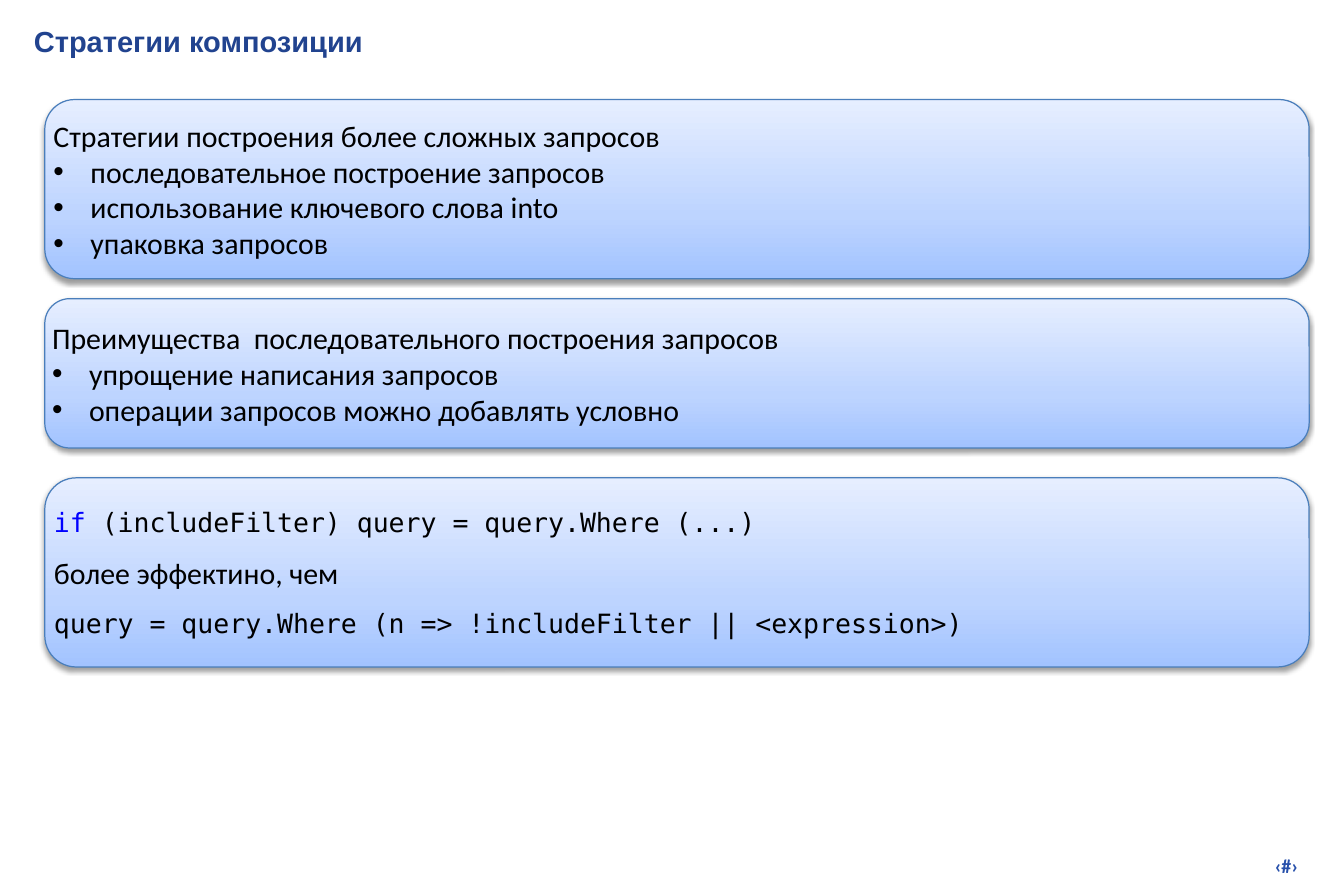
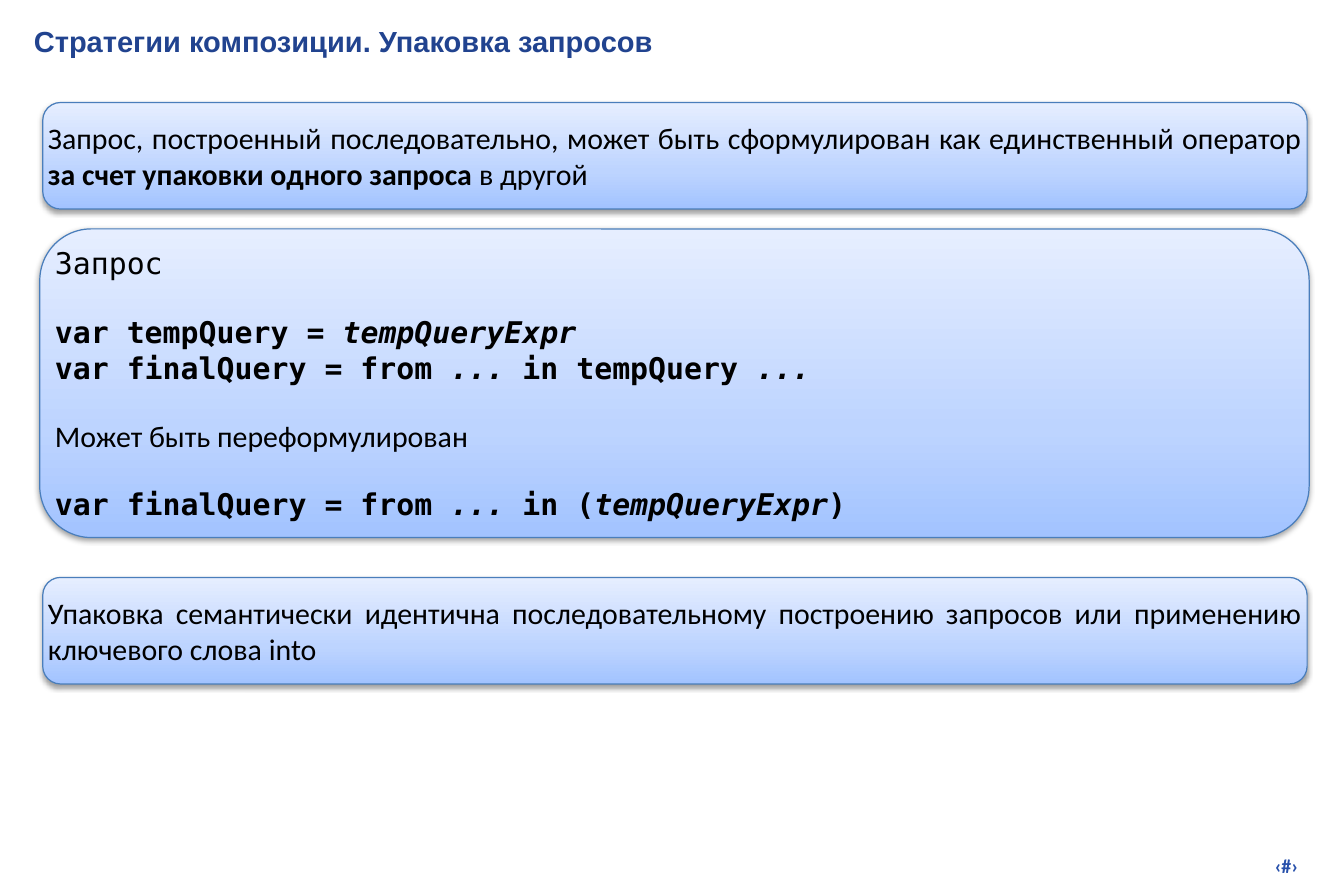
from dataclasses import dataclass

from lxml.etree import SubElement
from pptx import Presentation
from pptx.dml.color import RGBColor
from pptx.enum.shapes import MSO_SHAPE as Shape
from pptx.enum.text import MSO_ANCHOR as Anchor, MSO_AUTO_SIZE as AutoSize, PP_ALIGN as Align
from pptx.oxml.ns import qn
from pptx.util import Inches, Pt

# The slide is a grid of 135 columns by 90 rows.
CELL = Inches(1 / 12)
COLUMNS, ROWS = 135, 90
TITLE_BOX = (3.4, 2.4, 128.9, 4.8)
NUMBER_BOX = (102.5, 85.2, 28.5, 3.5)

TITLE_BLUE = RGBColor(0x21, 0x43, 0x8F)
NUMBER_BLUE = RGBColor(0x27, 0x50, 0xAB)
BORDER_BLUE = RGBColor(0x4A, 0x7E, 0xBB)
KEYWORD_BLUE = RGBColor(0x00, 0x00, 0xFF)
BLACK = RGBColor(0x00, 0x00, 0x00)
PANEL_STOPS = (
    (0, RGBColor(0xA2, 0xC3, 0xFF)),
    (35, RGBColor(0xBD, 0xD4, 0xFF)),
    (100, RGBColor(0xE6, 0xEE, 0xFF)),
)
HEADING, BODY, MONO = "Arial", "Calibri", "DejaVu Sans Mono"
BULLET_INDENT = Inches(0.31)
BLOCK_GAP = 19.5


@dataclass
class Line:
    """A paragraph; each run is plain text or a (text, font changes) pair."""
    runs: tuple
    face: str = BODY
    size: float = 18
    bold: bool = False
    color: RGBColor = BLACK
    align: Align = Align.LEFT
    before: float = 0
    bullet: bool = False


def text(*runs, **style):
    return Line(runs, **style)


def bullet(content):
    return Line((content,), bullet=True)


def code(*runs, **style):
    return Line(runs, face=MONO, **style)


def italic(content):
    return content, {"italic": True}


def on_grid(box):
    return [round(cells * CELL) for cells in box]


def write(frame, lines, margin=0, anchor=Anchor.TOP):
    frame.word_wrap = True
    frame.auto_size = AutoSize.NONE
    frame.vertical_anchor = anchor
    frame.margin_left = frame.margin_right = margin
    frame.margin_top = frame.margin_bottom = margin
    for index, line in enumerate(lines):
        paragraph = frame.add_paragraph() if index else frame.paragraphs[0]
        paragraph.alignment = line.align
        if line.before:
            paragraph.space_before = Pt(line.before)
        if line.bullet:
            properties = paragraph._p.get_or_add_pPr()
            properties.set("marL", str(BULLET_INDENT))
            properties.set("indent", str(-BULLET_INDENT))
            SubElement(properties, qn("a:buFont"), typeface=HEADING)
            SubElement(properties, qn("a:buChar"), char="•")
        font = paragraph.font
        font.name, font.size, font.bold = line.face, Pt(line.size), line.bold
        font.color.rgb = line.color
        for part in line.runs:
            content, changes = (part, {}) if isinstance(part, str) else part
            run = paragraph.add_run()
            run.text = content
            for key, value in changes.items():
                if key == "color":
                    run.font.color.rgb = value
                else:
                    setattr(run.font, key, value)


def add_color(parent, color):
    return SubElement(parent, qn("a:srgbClr"), val=str(color))


def add_panel(slide, box, lines):
    panel = slide.shapes.add_shape(Shape.ROUNDED_RECTANGLE, *on_grid(box))
    panel.line.color.rgb = BORDER_BLUE
    panel.line.width = Pt(0.75)
    panel.fill.gradient()
    panel.fill.gradient_angle = 90
    properties = panel._element.spPr
    stops = properties.find(".//" + qn("a:gsLst"))
    for old_stop in list(stops):
        stops.remove(old_stop)
    for percent, color in PANEL_STOPS:
        add_color(SubElement(stops, qn("a:gs"), pos=str(percent * 1000)), color)
    panel.shadow.inherit = False
    shadow = SubElement(
        properties.find(qn("a:effectLst")), qn("a:outerShdw"),
        blurRad="40000", dist="20000", dir="5400000", rotWithShape="0")
    SubElement(add_color(shadow, BLACK), qn("a:alpha"), val="38000")
    write(panel.text_frame, lines, anchor=Anchor.MIDDLE)


def add_shared_number(layout, slide):
    """Place the number mark on the layout, by way of one of its slides."""
    number = slide.shapes.add_textbox(*on_grid(NUMBER_BOX))
    mark = text("‹#›", size=12, bold=True, color=NUMBER_BLUE, align=Align.RIGHT)
    write(number.text_frame, [mark], margin=Inches(0.05))
    layout.shapes._spTree.append(number._element)


def add_panel_slide(deck, layout, title, panels):
    slide = deck.slides.add_slide(layout)
    heading = text(title, face=HEADING, size=17.5, bold=True, color=TITLE_BLUE)
    write(slide.shapes.title.text_frame, [heading])
    for box, lines in panels:
        add_panel(slide, box, lines)
    return slide


STRATEGIES = [
    ((4.5, 10, 127, 18), [
        text("Стратегии построения более сложных запросов"),
        bullet("последовательное построение запросов"),
        bullet("использование ключевого слова into"),
        bullet("упаковка запросов"),
    ]),
    ((4.5, 30, 127, 15), [
        text("Преимущества  последовательного построения запросов"),
        bullet("упрощение написания запросов"),
        bullet("операции запросов можно добавлять условно"),
    ]),
    ((4.5, 48, 127, 19), [
        code(("if", {"color": KEYWORD_BLUE}),
             " (includeFilter) query = query.Where (...)", size=16),
        text("более эффектино, чем", before=10),
        code("query = query.Where (n => !includeFilter || <expression>)",
             size=16, before=10),
    ]),
]

WRAPPING = [
    ((4.3, 10.3, 127, 10.7), [
        text("Запрос, построенный последовательно, может быть сформулирован "
             "как единственный оператор ",
             ("за счет упаковки одного запроса ", {"bold": True}),
             "в другой", align=Align.JUSTIFY),
    ]),
    ((4, 23, 127.5, 31), [
        code("Запрос"),
        code("var tempQuery = ", italic("tempQueryExpr"), bold=True, before=BLOCK_GAP),
        code("var finalQuery = from ", italic("... "), "in tempQuery ",
             italic("..."), bold=True),
        text("Может быть переформулирован", before=BLOCK_GAP),
        code("var finalQuery = from ", italic("... "), "in (",
             italic("tempQueryExpr"), ")", bold=True, before=BLOCK_GAP),
    ]),
    ((4.3, 58, 127, 10.7), [
        text("Упаковка семантически идентична последовательному построению "
             "запросов или применению ключевого слова into", align=Align.JUSTIFY),
    ]),
]


def main():
    deck = Presentation()
    deck.slide_width, deck.slide_height = on_grid((COLUMNS, ROWS))
    layout = deck.slide_layouts.get_by_name("Title Only")
    title = layout.placeholders[0]
    title.left, title.top, title.width, title.height = on_grid(TITLE_BOX)
    first = add_panel_slide(deck, layout, "Стратегии композиции", STRATEGIES)
    add_shared_number(layout, first)
    add_panel_slide(deck, layout, "Стратегии композиции. Упаковка запросов", WRAPPING)
    deck.save("out.pptx")


if __name__ == "__main__":
    main()
